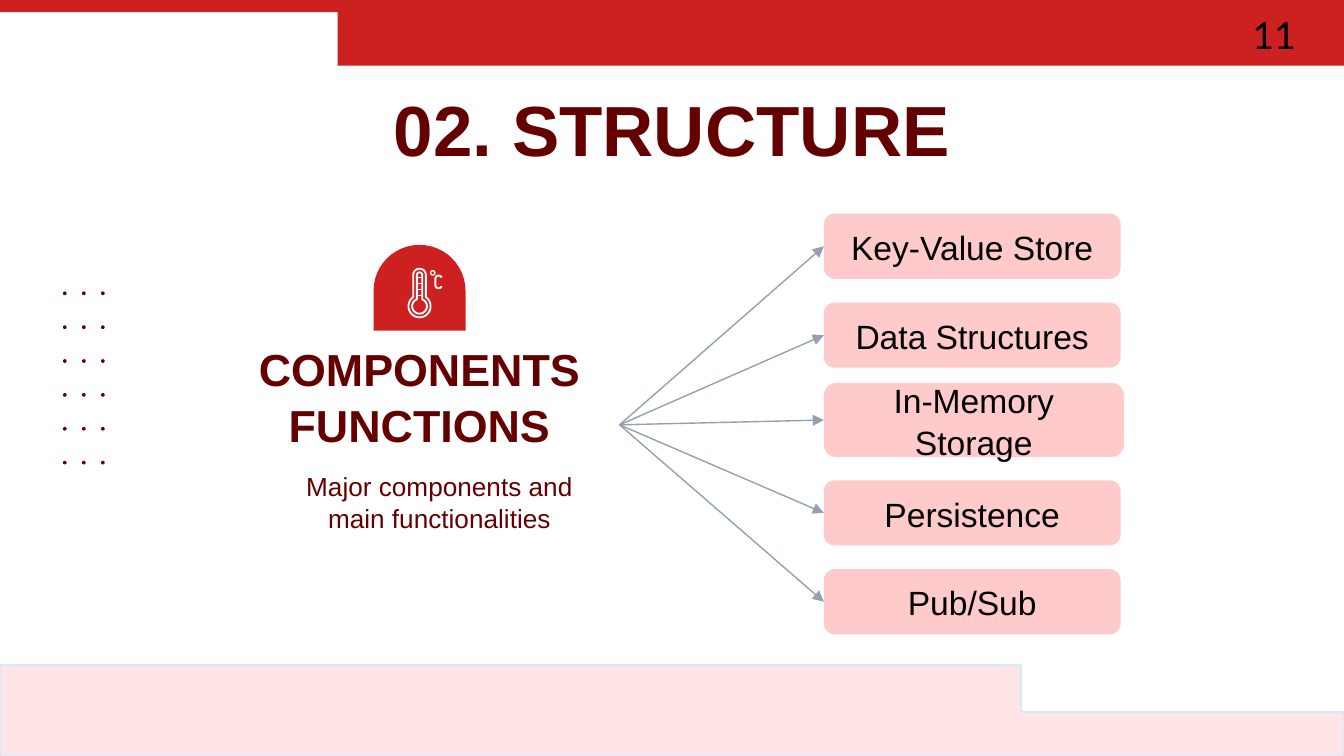
from math import acos, cos, degrees, radians, sin

from pptx import Presentation
from pptx.dml.color import RGBColor
from pptx.enum.shapes import MSO_CONNECTOR, MSO_SHAPE
from pptx.enum.text import MSO_ANCHOR, MSO_AUTO_SIZE, PP_ALIGN
from pptx.oxml.ns import qn
from pptx.util import Cm, Pt
from lxml.etree import SubElement

COLORS = {
    "red": "CD2121", "pale": "FFE5E5", "edge": "D5E9FF", "maroon": "640000",
    "pink": "FECACA", "arrow": "91A1B0", "white": "FFFFFF", "black": "000000",
}
RGB = {name: RGBColor.from_string(value) for name, value in COLORS.items()}


def arc(cx, cy, radius, start, end, steps=24):
    angles = [radians(start + (end - start) * i / steps) for i in range(steps + 1)]
    return [(cx + radius * cos(a), cy + radius * sin(a)) for a in angles]


def outline(points, fill=None, line=None, width=0.75, close=True):
    pts = [(Cm(x), Cm(y)) for x, y in points]
    builder = s.shapes.build_freeform(*pts[0])
    builder.add_line_segments(pts[1:], close=close)
    sp = builder.convert_to_shape()
    sp.shadow.inherit = False
    if fill:
        sp.fill.solid()
        sp.fill.fore_color.rgb = RGB[fill]
    else:
        sp.fill.background()
    if line:
        sp.line.color.rgb = RGB[line]
        sp.line.width = Pt(width)
    else:
        sp.line.fill.background()


prs = Presentation()
prs.slide_width, prs.slide_height = Cm(25.4), Cm(14.29)
s = prs.slides.add_slide(prs.slide_layouts[4])
title, heading, summary = (s.placeholders[i] for i in (0, 1, 3))
for i in (2, 4):
    empty = s.placeholders[i].element
    empty.getparent().remove(empty)

outline([(0, 0), (0, 0.23), (6.38, 0.23), (6.38, 1.24), (25.4, 1.24), (25.4, 0)], "red")
outline([(0, 12.57), (0, 14.29), (25.4, 14.29), (25.4, 13.46), (19.3, 13.46), (19.3, 12.57)],
        "pale", "edge")

for col in range(3):
    for row in range(6):
        sp = s.shapes.add_shape(MSO_SHAPE.OVAL, Cm(1.19 + 0.36 * col), Cm(5.51 + 0.64 * row),
                                Cm(0.07), Cm(0.07))
        sp.shadow.inherit = False
        sp.fill.solid()
        sp.fill.fore_color.rgb = RGB["maroon"]
        sp.line.fill.background()

icon_x = 7.93
outline(arc(icon_x, 5.5, 0.87, 180, 360) + [(8.8, 6.25), (7.06, 6.25)], "red")
for tube, bulb in [(0.12, 0.21), (0.05, 0.14)]:
    neck = degrees(acos(tube / bulb))
    outline(arc(icon_x, 5.2, tube, 180, 360) + arc(icon_x, 5.79, bulb, -neck, 180 + neck),
            line="white", width=1)
outline(arc(8.29, 5.27, 0.06, 340, 180) + arc(8.29, 5.39, 0.06, 180, 20),
        line="white", width=1, close=False)
outline(arc(8.18, 5.16, 0.04, 0, 360), line="white")

texts = [
    (title, "02. STRUCTURE", 38, "maroon", True, MSO_ANCHOR.TOP, (1.98, 1.24, 21.44, 1.88)),
    (heading, "COMPONENTS FUNCTIONS", 24, "maroon", True, MSO_ANCHOR.BOTTOM,
     (4.14, 7.24, 7.57, 1.55)),
    (summary, "Major components and main functionalities", 14, "maroon", False, MSO_ANCHOR.TOP,
     (4.95, 8.61, 6.71, 2.82)),
]
features = ["Key-Value Store", "Data Structures", "In-Memory Storage", "Persistence", "Pub/Sub"]
boxes = []
for i, feature in enumerate(features):
    place = (15.57, 4.04 + 1.68 * i, 5.61, 1.23)
    if feature == "In-Memory Storage":
        place = (15.57, 7.24, 5.67, 1.4)
    sp = s.shapes.add_shape(MSO_SHAPE.FLOWCHART_ALTERNATE_PROCESS, *map(Cm, place))
    sp.shadow.inherit = False
    sp.fill.solid()
    sp.fill.fore_color.rgb = RGB["pink"]
    sp.line.fill.background()
    boxes.append(sp)
    texts.append((sp, feature, 18, "black", False, MSO_ANCHOR.MIDDLE, place))

for sp, text, size, color, bold, anchor, place in texts:
    sp.left, sp.top, sp.width, sp.height = map(Cm, place)
    tf = sp.text_frame
    tf.word_wrap = True
    tf.auto_size = MSO_AUTO_SIZE.NONE
    tf.vertical_anchor = anchor
    tf.margin_left = tf.margin_right = tf.margin_top = tf.margin_bottom = Cm(0.25)
    p = tf.paragraphs[0]
    p.alignment = PP_ALIGN.CENTER
    p.space_before = Pt(0)
    p.line_spacing = 1.04
    r = p.add_run()
    r.text = text
    r.font.name = "Arial"
    r.font.size = Pt(size)
    r.font.bold = bold
    r.font.color.rgb = RGB[color]
title.text_frame.margin_top = Cm(0.32)

ticks = [(7.88, 5.25 + 0.11 * i, 7.98, 5.25 + 0.11 * i, "white", None) for i in range(4)]
arrows = [(11.71, 8.03, 15.57, 8.03, "arrow", box) for box in boxes]
for x1, y1, x2, y2, color, target in ticks + arrows:
    line = s.shapes.add_connector(MSO_CONNECTOR.STRAIGHT, Cm(x1), Cm(y1), Cm(x2), Cm(y2))
    line.line.color.rgb = RGB[color]
    line.line.width = Pt(0.75)
    if target is not None:
        line.end_connect(target, 1)
        SubElement(line.line._get_or_add_ln(), qn("a:tailEnd"), type="triangle")
    SubElement(line._element.spPr, qn("a:effectLst"))

sp = s.shapes.add_textbox(Cm(19.02), Cm(0.28), Cm(5.72), Cm(0.76))
tf = sp.text_frame
tf.word_wrap = True
tf.vertical_anchor = MSO_ANCHOR.MIDDLE
p = tf.paragraphs[0]
p.alignment = PP_ALIGN.RIGHT
r = p.add_run()
r.text = "11"
r.font.name = "Lato"
r.font.size = Pt(20)
r.font.color.rgb = RGB["black"]

prs.save("out.pptx")
